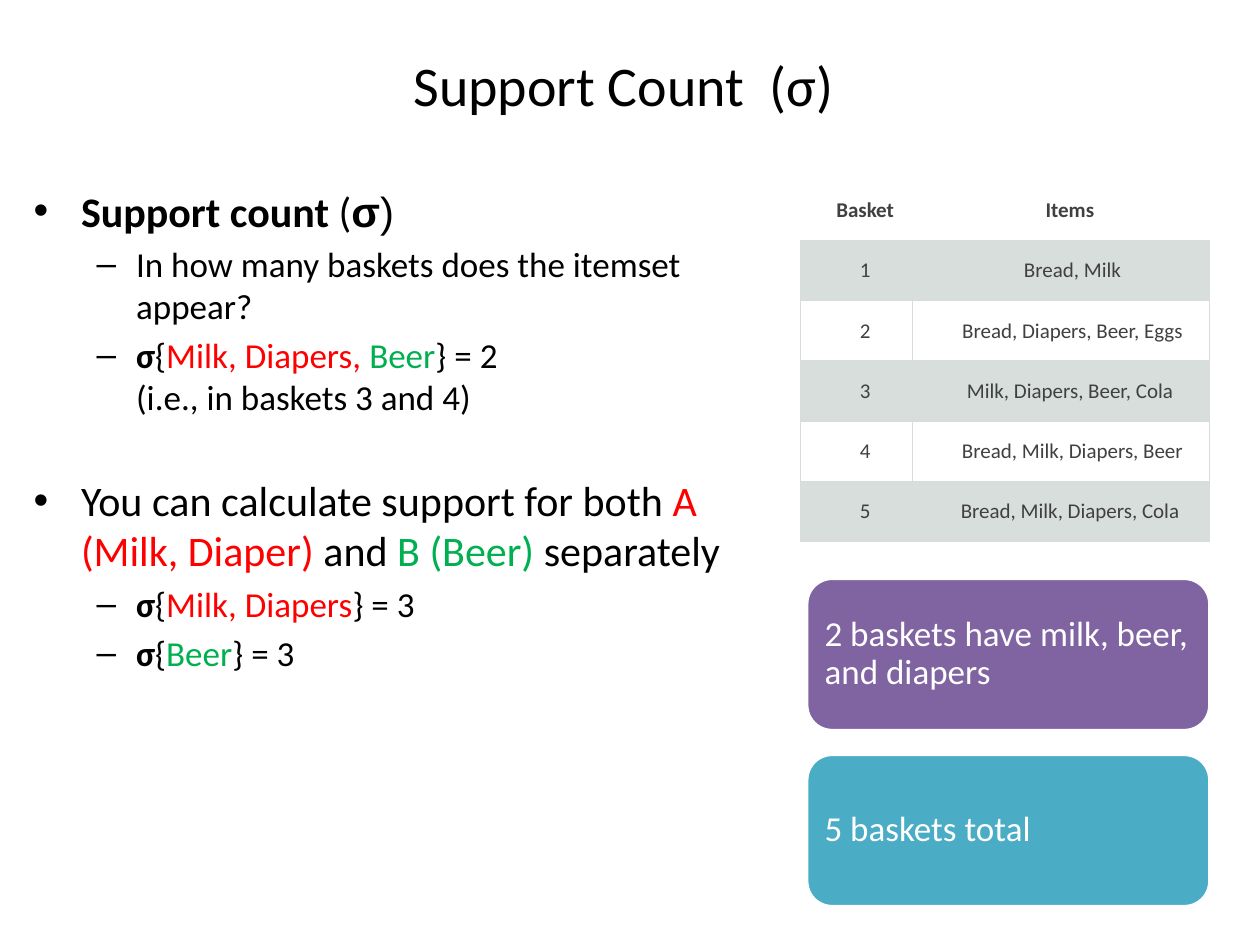
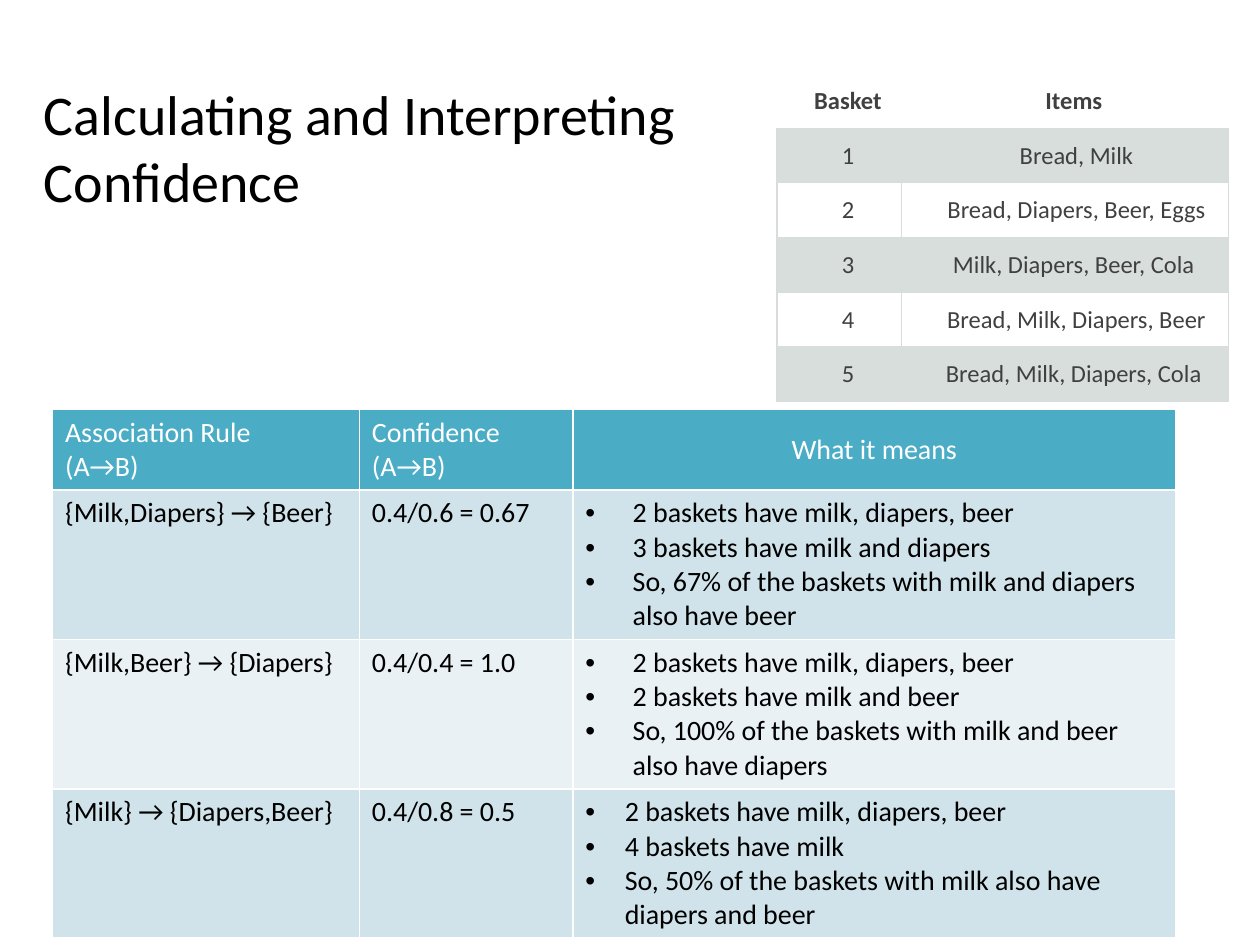
from pptx import Presentation
from pptx import util as u
from pptx.dml import color
from pptx.enum import shapes, text
from pptx.oxml import ns
from lxml import etree

Pt = u.Pt
C = {"ink": "000000", "white": "FFFFFF", "red": "FF0000", "green": "00B050",
     "purple": "8064A2", "teal": "4BACC6", "gray": "404040", "rule": "D8DCDC",
     "band": "D8DEDC", "row_dark": "D0E3EA", "row_light": "E9F1F5"}
FONT = "Calibri"
NO_STYLE = "{2D5ABB26-0587-4C30-8999-92F81FD0307C}"
LEFT, CENTER = text.PP_ALIGN.LEFT, text.PP_ALIGN.CENTER
TOP, MIDDLE = text.MSO_ANCHOR.TOP, text.MSO_ANCHOR.MIDDLE

BASKETS = [("Basket", "Items"),
           ("1", "Bread, Milk"),
           ("2", "Bread, Diapers, Beer, Eggs"),
           ("3", "Milk, Diapers, Beer, Cola "),
           ("4", "Bread, Milk, Diapers, Beer"),
           ("5", "Bread, Milk, Diapers, Cola ")]


def rgb(name):
    return color.RGBColor.from_string(C[name])


def sub(parent, tag, **attrs):
    return etree.SubElement(parent, ns.qn(tag), attrs)


class Deck:
    def __init__(self):
        self.prs = Presentation()
        self.prs.slide_width, self.prs.slide_height = Pt(720), Pt(540)
        self.s = None

    def new_slide(self):
        self.s = self.prs.slides.add_slide(self.prs.slide_layouts[6])

    def run(self, p, words, size, ink="ink", bold=False, font=FONT):
        for i, line in enumerate(words.split("\n")):
            if i:
                p.add_line_break()
            r = p.add_run()
            r.text = line
            r.font.size, r.font.bold, r.font.name = Pt(size), bold, font
            r.font.color.rgb = rgb(ink)

    def para(self, tf, first, align=LEFT, before=0):
        p = tf.paragraphs[0] if first else tf.add_paragraph()
        p.alignment, p.space_before = align, Pt(before)
        return p

    def bullet(self, p, char, margin, hang):
        pPr = p._p.get_or_add_pPr()
        pPr.set("marL", str(Pt(margin)))
        pPr.set("indent", str(-Pt(hang)))
        sub(pPr, "a:buFont", typeface="Arial")
        sub(pPr, "a:buChar", char=char)

    def textbox(self, x, y, w, h, anchor=TOP):
        tf = self.s.shapes.add_textbox(Pt(x), Pt(y), Pt(w), Pt(h)).text_frame
        tf.word_wrap, tf.vertical_anchor = True, anchor
        return tf

    def title(self, words, x, y, w, h, align=LEFT):
        tf = self.textbox(x, y, w, h, MIDDLE)
        self.run(self.para(tf, True, align), words, 32)

    def outline(self, x, y, w, h, items):
        """Items are (level, space before, runs)."""
        tf = self.textbox(x, y, w, h)
        for i, (level, before, runs) in enumerate(items):
            p = self.para(tf, i == 0, before=before)
            p.level = level
            self.bullet(p, *(("–", 58.5, 22.5) if level else ("•", 27, 27)))
            for words, *style in runs:
                self.run(p, words, 20 if level else 24, *style)

    def card(self, words, fill, x, y, w, h):
        sp = self.s.shapes.add_shape(shapes.MSO_SHAPE.ROUNDED_RECTANGLE,
                                     Pt(x), Pt(y), Pt(w), Pt(h))
        sp.shadow.inherit = False
        sp.fill.solid()
        sp.fill.fore_color.rgb = rgb(fill)
        sp.line.color.rgb, sp.line.width = rgb("white"), Pt(2)
        tf = sp.text_frame
        tf.word_wrap, tf.vertical_anchor = True, MIDDLE
        tf.margin_left = tf.margin_right = tf.margin_top = tf.margin_bottom = Pt(6)
        p = self.para(tf, True)
        p.line_spacing = 0.9
        self.run(p, words, 20, "white")

    def table(self, x, y, cols, rows):
        tbl = self.s.shapes.add_table(len(rows), len(cols), Pt(x), Pt(y),
                                      Pt(sum(cols)), Pt(sum(rows))).table
        tbl.first_row = tbl.horz_banding = False
        tbl._tbl.tblPr.find(ns.qn("a:tableStyleId")).text = NO_STYLE
        for col, width in zip(tbl.columns, cols):
            col.width = Pt(width)
        for row, height in zip(tbl.rows, rows):
            row.height = Pt(height)
        return tbl

    def cell_style(self, cell, edges, line, width, fill=None, alpha=None):
        tcPr = cell._tc.get_or_add_tcPr()
        for edge in edges:
            ln = sub(tcPr, "a:ln" + edge, w=str(Pt(width)))
            sub(sub(ln, "a:solidFill"), "a:srgbClr", val=C[line])
        if fill is None:
            cell.fill.background()
            return
        cell.fill.solid()
        cell.fill.fore_color.rgb = rgb(fill)
        if alpha:
            sub(tcPr.find(".//" + ns.qn("a:srgbClr")), "a:alpha", val=str(alpha * 1000))

    def basket_table(self, x, y, cols, row_h, size, pad):
        tbl = self.table(x, y, cols, [row_h] * len(BASKETS))
        for i, row in enumerate(BASKETS):
            for j, words in enumerate(row):
                cell = tbl.cell(i, j)
                cell.margin_left = Pt(20)
                cell.margin_right = Pt(7 if i and j else 10)
                cell.margin_top = cell.margin_bottom = Pt(pad)
                self.cell_style(cell, "LRTB" if i else "B", "rule", 0.75,
                                "band" if i % 2 else None, 20)
                p = self.para(cell.text_frame, True, CENTER)
                self.run(p, words, size, "gray", i == 0)

    def rule_table(self, x, y, cols, rows, heads, rules):
        tbl = self.table(x, y, cols, rows)
        for j, words in enumerate(heads):
            cell, last = tbl.cell(0, j), j == len(heads) - 1
            self.cell_style(cell, "LRTB", "white", 1, "teal")
            cell.vertical_anchor = MIDDLE if last else TOP
            p = self.para(cell.text_frame, True, CENTER if last else LEFT)
            self.run(p, words, 16, "white")
        for i, (rule, confidence, hang, meaning) in enumerate(rules, 1):
            for j, lines in enumerate(([rule], [confidence], meaning)):
                cell = tbl.cell(i, j)
                self.cell_style(cell, "LRTB", "white", 1,
                                "row_dark" if i % 2 else "row_light")
                for k, words in enumerate(lines):
                    p = self.para(cell.text_frame, k == 0)
                    if j == 2:
                        self.bullet(p, "•", hang, hang)
                    self.run(p, words, 16)


def support_count(d):
    d.new_slide()
    d.title("Support Count  (σ) ", 36, 3, 648, 90, CENTER)
    sigma = ("σ", "ink", True)
    d.outline(12.2, 102.2, 414, 437.8, [
        (0, 4.8, [("Support count ", "ink", True), ("(",),
                  ("σ", "ink", True, "Arial"), (")", "ink", False, "Arial")]),
        (1, 4, [("In how many baskets does the itemset appear?",)]),
        (1, 4, [sigma, ("{",), ("Milk, Diapers, ", "red"), ("Beer", "green"),
                ("} = 2 \n(i.e., in baskets 3 and 4)",)]),
        (0, 32.5, [("You can calculate support for both ",),
                   ("A (Milk, Diaper)", "red"), (" and ",),
                   ("B (Beer)", "green"), (" separately",)]),
        (1, 4, [sigma, ("{",), ("Milk, Diapers", "red"), ("} = 3",)]),
        (1, 4, [sigma, ("{",), ("Beer", "green"), ("} = 3",)]),
    ])
    # Summary cards
    cards = [("2 baskets have milk, beer, and diapers", "purple"),
             ("5 baskets total", "teal")]
    for i, (words, fill) in enumerate(cards):
        d.card(words, fill, 461, 330.5 + i * 100.6, 230.4, 87)
    d.basket_table(457.2, 103, [64.4, 169.6], 34.4, 12, 10)


def confidence(d):
    d.new_slide()
    d.title("Calculating and Interpreting Confidence", 18, 12, 414, 144)
    # Rules and their meaning
    all_three = "2 baskets have milk, diapers, beer"
    d.rule_table(30, 234, [175.4, 122, 344.6], [46, 85.4, 85.4, 85.4],
                 ["Association Rule \n(A→B)", "Confidence \n(A→B)", "What it means"], [
        ("{Milk,Diapers} → {Beer}", "0.4/0.6 = 0.67", 27,
         [all_three, "3 baskets have milk and diapers",
          "So, 67% of the baskets with milk and diapers also have beer"]),
        ("{Milk,Beer} → {Diapers}", "0.4/0.4 = 1.0", 27,
         [all_three, "2 baskets have milk and beer",
          "So, 100% of the baskets with milk and beer also have diapers"]),
        ("{Milk} → {Diapers,Beer}", "0.4/0.8 = 0.5", 22.5,
         [all_three, "4 baskets have milk",
          "So, 50% of the baskets with milk also have diapers and beer"]),
    ])
    d.basket_table(444, 42, [71.2, 187], 31.2, 14, 7.2)


def main():
    d = Deck()
    support_count(d)
    confidence(d)
    d.prs.save("out.pptx")


if __name__ == "__main__":
    main()
